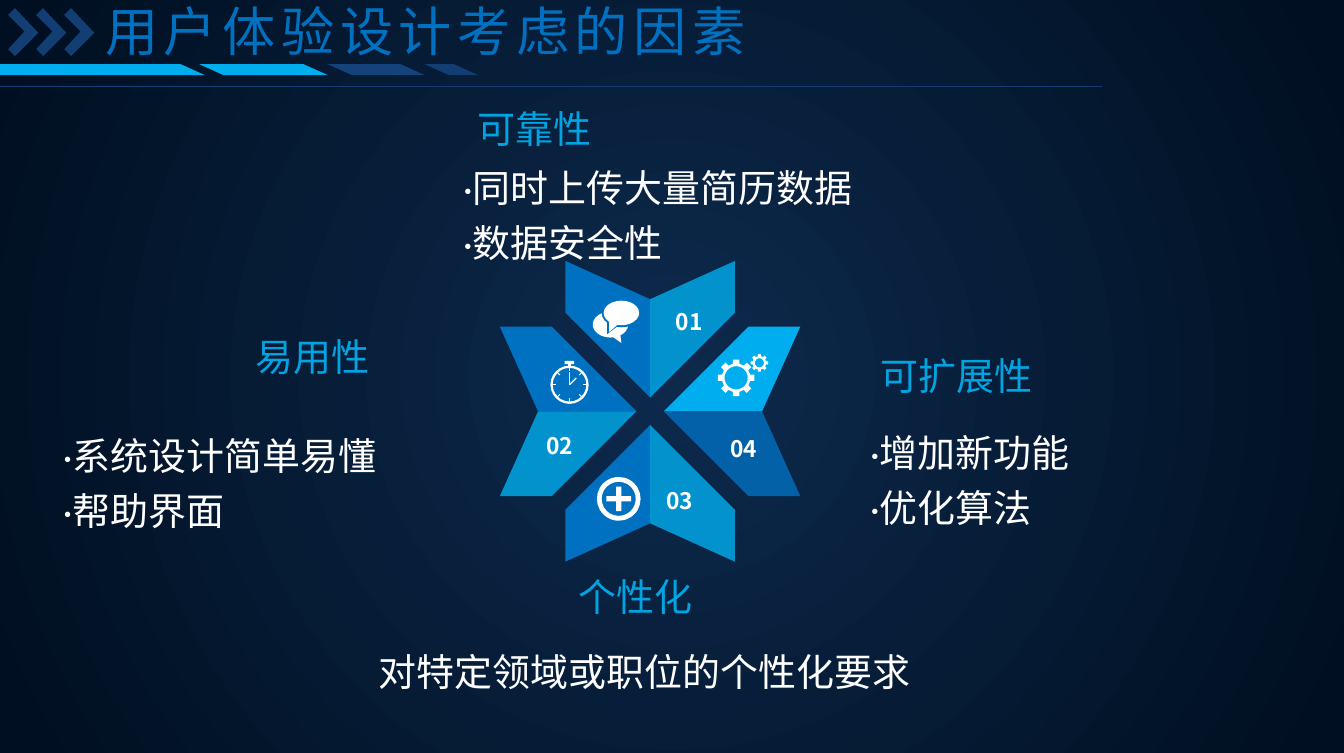
import math

from lxml import etree
from pptx import Presentation
from pptx import util as u
from pptx.dml import color
from pptx.enum import shapes, text
from pptx.oxml import ns

COLUMNS, ROWS = 984, 551
CELL = u.Inches(0.01)
SANS = "Noto Sans CJK SC"
WHITE, BLUE, SKY, NAVY, CYAN = "FFFFFF", "0070C0", "00AEEF", "133E73", "00A4E3"
KIND = shapes.MSO_SHAPE


def cells(*counts):
    """Turn counts of grid cells into lengths."""
    return [round(count * CELL) for count in counts]


def paint(target, value):
    """Give a fill, line or font one solid colour."""
    if hasattr(target, "solid"):
        target.solid()
        target = target.fore_color
    elif hasattr(target, "color"):
        target = target.color
    target.rgb = color.RGBColor.from_string(value)


def finish(shape, fill, opacity=100):
    """Fill a shape without line or shadow."""
    shape.shadow.inherit = False
    paint(shape.fill, fill)
    shape.line.fill.background()
    if opacity < 100:
        tint = shape._element.spPr.find(".//" + ns.qn("a:srgbClr"))
        etree.SubElement(tint, ns.qn("a:alpha"), val=str(opacity * 1000))
    return shape


def preset(parent, kind, box, fill, *adjustments):
    """Add a filled preset shape."""
    shape = parent.shapes.add_shape(kind, *cells(*box))
    for index, value in enumerate(adjustments):
        shape.adjustments[index] = value
    return finish(shape, fill)


def outline(parent, contours, fill, opacity=100):
    """Add one freeform made of closed contours."""
    first, *others = [[cells(*point) for point in contour] for contour in contours]
    builder = parent.shapes.build_freeform(*first[0], scale=1.0)
    builder.add_line_segments(first[1:], close=True)
    for contour in others:
        builder.move_to(*contour[0])
        builder.add_line_segments(contour[1:], close=True)
    return finish(builder.convert_to_shape(), fill, opacity)


def stroke(parent, start, end, tone, width):
    """Add a straight line."""
    line = parent.shapes.add_connector(
        shapes.MSO_CONNECTOR.STRAIGHT, *cells(*start, *end))
    paint(line.line, tone)
    line.line.width = u.Pt(width)
    etree.SubElement(line._element.spPr, ns.qn("a:effectLst"))


def write(frame, lines, size, font, tone, bold=False, spacing=None, tracking=0):
    """Write left-aligned lines into a text frame."""
    frame.vertical_anchor = text.MSO_ANCHOR.TOP
    frame.auto_size = text.MSO_AUTO_SIZE.NONE
    for index, line in enumerate(lines):
        para = frame.add_paragraph() if index else frame.paragraphs[0]
        para.alignment = text.PP_ALIGN.LEFT
        para.space_before = u.Pt(0)
        if spacing:
            para.line_spacing = spacing
        span = para.add_run()
        span.text = line
        span.font.name, span.font.size, span.font.bold = font, u.Pt(size), bold
        paint(span.font, tone)
        properties = span._r.get_or_add_rPr()
        etree.SubElement(properties, ns.qn("a:ea"), typeface=font)
        if tracking:
            properties.set("spc", str(tracking * 100))


def label(parent, box, words, size, tone, bold=False):
    """Add a one-line text box."""
    shape = parent.shapes.add_textbox(*cells(*box))
    shape.text_frame.word_wrap = False
    write(shape.text_frame, [words], size, SANS, tone, bold)


def move(shape, box):
    """Move a placeholder to a box."""
    shape.left, shape.top, shape.width, shape.height = cells(*box)


def backdrop(page):
    """Fill the page with a round gradient."""
    fill = page.background.fill
    fill.gradient()
    for stop, position, tone in zip(fill.gradient_stops, (0, 0.97), ("0D2A4D", "000F21")):
        stop.position = position
        paint(stop, tone)
    gradient = page._element.find(".//" + ns.qn("a:gradFill"))
    gradient.remove(gradient.find(ns.qn("a:lin")))
    route = etree.SubElement(gradient, ns.qn("a:path"), path="circle")
    etree.SubElement(route, ns.qn("a:fillToRect"),
                     {side: "50000" for side in "ltrb"})


def header(page, words):
    """Place the title, chevrons, slanted bars and rule."""
    for left, width, tone in ((-161, 311, SKY), (146, 94, SKY),
                              (240, 71, "14427A"), (311, 39, NAVY)):
        bar = preset(page, KIND.PARALLELOGRAM, (left, 47, width, 8), tone, 2.21)
        bar._element.spPr.find(ns.qn("a:xfrm")).set("flipV", "1")
    stroke(page, (0, 63), (807, 63), NAVY, 0.5)
    chevron = ((0, 5), (5, 0), (22, 18), (5, 35), (0, 30), (12, 17))
    for index in range(3):
        left = 6 + 20.5 * index
        outline(page, [[(left + x, 6 + y) for x, y in chevron]], NAVY)
    title = page.shapes.title
    move(title, (67, -6, 498, 77))
    title.text_frame.word_wrap = False
    write(title.text_frame, [words], 28, SANS, BLUE, tracking=3)


def factor(page, holder, heading, heading_box, lines, list_box):
    """Place one factor: its heading and its list."""
    label(page, heading_box, heading, 20, CYAN)
    move(holder, list_box)
    frame = holder.text_frame
    frame.margin_left = frame.margin_top = frame.margin_right = frame.margin_bottom = 0
    write(frame, lines, 20, "Calibri", WHITE, spacing=1.2)
    for para in frame.paragraphs:
        properties = para._p.get_or_add_pPr()
        properties.set("marL", "0")
        properties.set("indent", "0")
        etree.SubElement(properties, ns.qn("a:buNone"))


def chat(group, x, y):
    """Draw two speech bubbles from a top left corner."""
    preset(group, KIND.OVAL, (x, y + 8, 26, 19), WHITE)
    outline(group, [[(x + 14, y + 26), (x + 21, y + 31), (x + 20, y + 23)]], WHITE)
    for gap, tone in ((1.5, BLUE), (0, WHITE)):
        preset(group, KIND.OVAL, (x + 8 - gap, y - gap, 26 + 2 * gap, 18 + 2 * gap), tone)
        outline(group, [[(x + 12 - gap, y + 15), (x + 12 - gap, y + 23 + gap),
                         (x + 19 + gap, y + 17)]], tone)


def stopwatch(group, x, y):
    """Draw a stopwatch around a centre."""
    preset(group, KIND.DONUT, (x - 14, y - 14, 28, 28), WHITE, 0.06)
    preset(group, KIND.RECTANGLE, (x - 3.5, y - 17.5, 7, 2.5), WHITE)
    preset(group, KIND.RECTANGLE, (x - 1, y - 15, 2, 2), WHITE)
    for turn in range(8):
        across, down = (f(turn * math.pi / 4) for f in (math.cos, math.sin))
        stroke(group, (x + 10 * across, y + 10 * down),
               (x + 12.5 * across, y + 12.5 * down), WHITE, 0.5)
    for tip in ((x, y - 9.5), (x + 5, y - 5)):
        stroke(group, (x, y), tip, WHITE, 0.6)


def gears(group, x, y):
    """Draw a large and a small gear, the large one around a centre."""
    def ring(left, top, radius, angles):
        return [(left + radius(i) * math.cos(a), top + radius(i) * math.sin(a))
                for i, a in enumerate(angles)]

    teeth = [math.pi / 4 * tooth + side for tooth in range(8)
             for side in (-0.22, -0.17, 0.17, 0.22)]
    circle = [math.pi / 18 * step for step in range(36)]
    for left, top, tip, root, hole in ((x, y, 13.5, 10.5, 8.5),
                                       (x + 17, y - 11, 6.5, 5, 3.3)):
        cog = ring(left, top, lambda i: tip if i % 4 in (1, 2) else root, teeth)
        outline(group, [cog, ring(left, top, lambda i: hole, circle)], WHITE)


def plus(group, x, y):
    """Draw a ringed plus around a centre."""
    preset(group, KIND.DONUT, (x - 16, y - 16, 32, 32), WHITE, 0.11)
    preset(group, KIND.CROSS, (x - 9, y - 9, 18, 18), WHITE, 0.39)


def pinwheel(page, x, y):
    """Build four arrows of two petals each around a centre."""
    petal = ((110, 62), (82, 0), (10, 0), (72, 62))
    arrows = (
        (True, -1, (BLUE, 100), (SKY, 80), chat, (-42, -81), "01", (9, -81)),
        (False, -1, (BLUE, 100), (SKY, 80), stopwatch, (-59, -19.5), "02", (-86, 10)),
        (True, 1, (BLUE, 100), (SKY, 80), plus, (-23, 64), "03", (2, 50)),
        (False, 1, (SKY, 100), (BLUE, 80), gears, (63, -24.5), "04", (49, 12)),
    )
    for upright, way, first, second, icon, icon_at, number, number_at in arrows:
        group = page.shapes.add_group_shape()
        for side, (tone, opacity) in ((-1, first), (1, second)):
            points = [(way * along, side * across) for along, across in petal]
            if upright:
                points = [(across, along) for along, across in points]
            outline(group, [[(x + a, y + b) for a, b in points]], tone, opacity)
        icon(group, x + icon_at[0], y + icon_at[1])
        label(group, (x + number_at[0], y + number_at[1], 41, 30), number, 12, WHITE, True)


def main():
    """Build and save the deck."""
    deck = Presentation()
    deck.slide_width, deck.slide_height = cells(COLUMNS, ROWS)
    page = deck.slides.add_slide(deck.slide_layouts.get_by_name("Comparison"))
    backdrop(page)
    header(page, "用户体验设计考虑的因素")
    pinwheel(page, 476, 301)
    factors = (
        ("可靠性", (340, 72, 104, 44),
         ["·同时上传大量简历数据", "·数据安全性"], (339, 114, 305, 90)),
        ("可扩展性", (635, 253, 132, 44),
         ["·增加新功能", "·优化算法"], (637, 308, 315, 124)),
        ("易用性", (177, 239, 104, 44),
         ["·系统设计简单易懂", "·帮助界面"], (46, 310, 287, 86)),
        ("个性化", (414, 415, 104, 44),
         ["对特定领域或职位的个性化要求"], (277, 468, 416, 80)),
    )
    for holder, parts in zip(list(page.placeholders)[1:], factors):
        factor(page, holder, *parts)
    deck.save("out.pptx")


if __name__ == "__main__":
    main()
